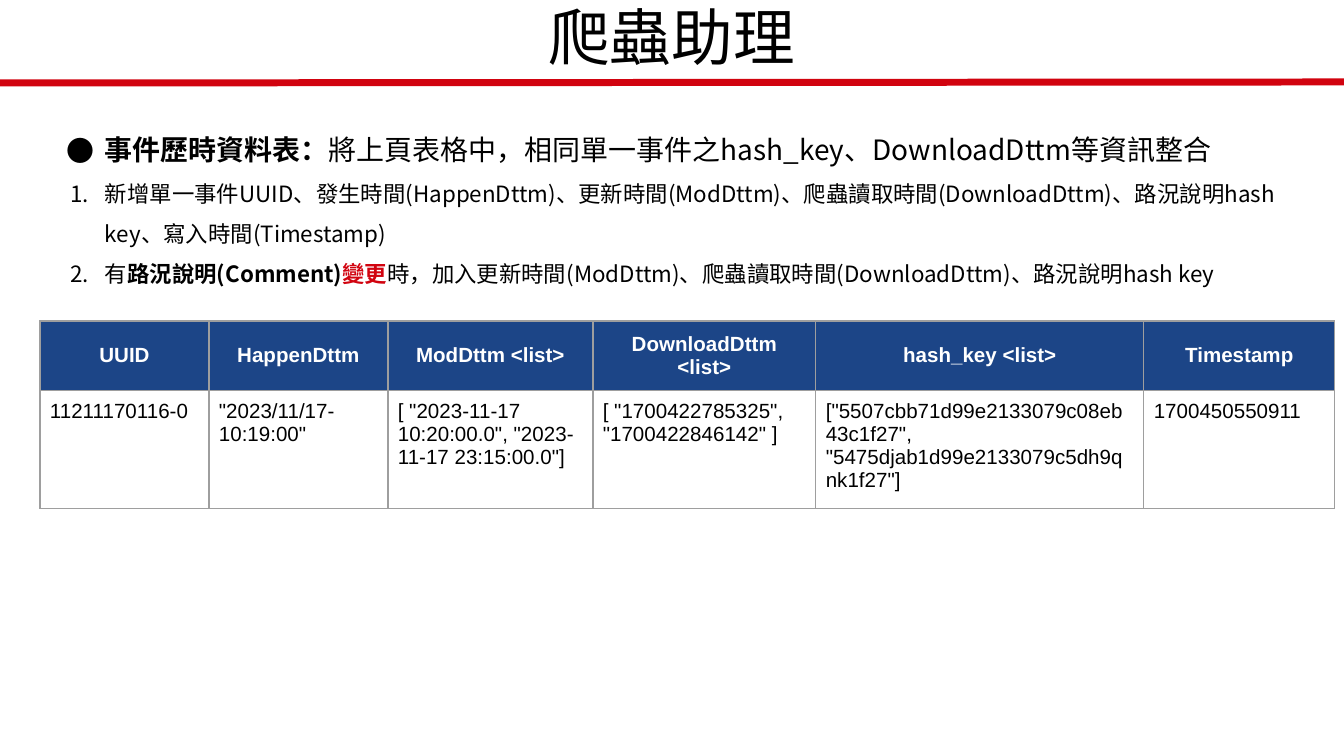
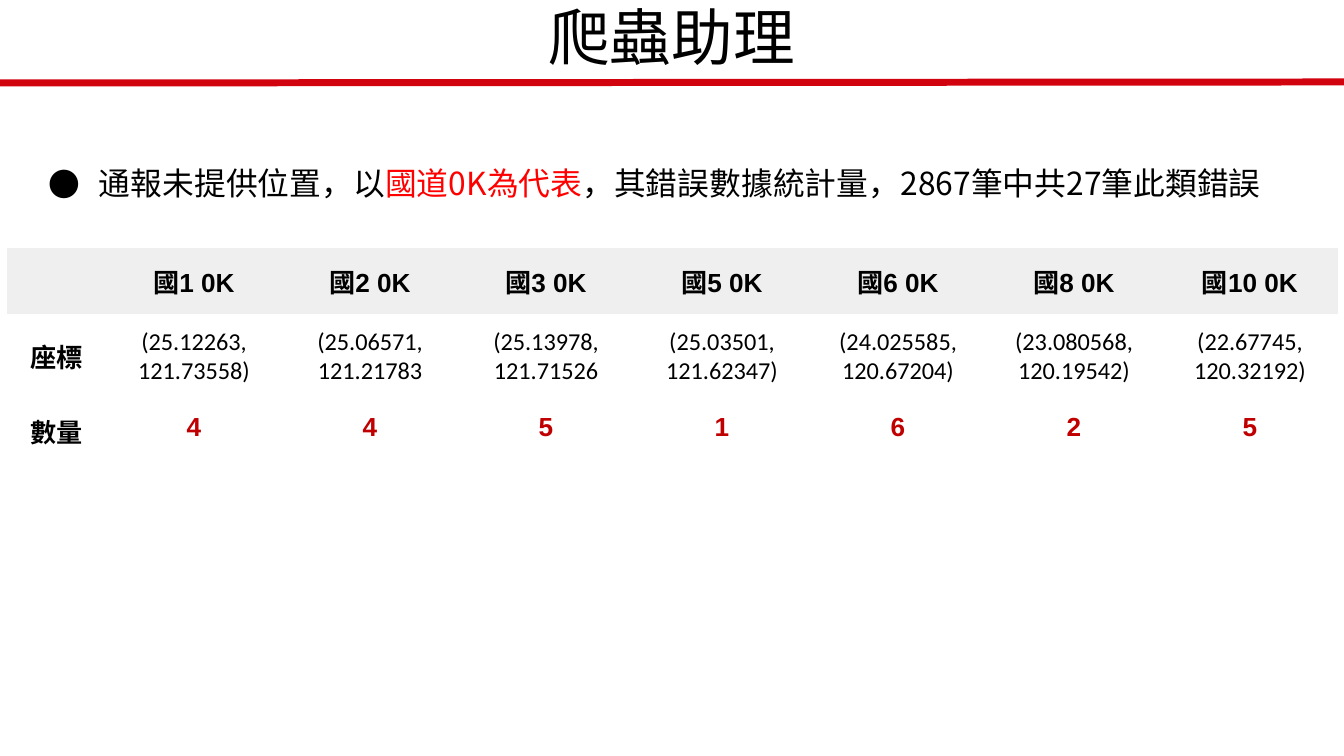
"""Build two slides on a crawler helper, each with notes and a table."""
import dataclasses

import lxml.etree
import pptx
import pptx.dml.color
import pptx.enum.shapes
import pptx.enum.text
import pptx.oxml.ns
import pptx.util

PX = 914400 / 134.4
qn = pptx.oxml.ns.qn
ALIGN = pptx.enum.text.PP_ALIGN
GROW = pptx.enum.text.MSO_AUTO_SIZE.SHAPE_TO_FIT_TEXT
NO_STYLE = "{2D5ABB26-0587-4C30-8999-92F81FD0307C}"


@dataclasses.dataclass(frozen=True)
class Theme:
    """Hold the fonts, colours and type sizes."""
    han: str = "Noto Sans CJK TC"
    sans: str = "Arial"
    plain: str = "Calibri"
    black: str = "000000"
    white: str = "FFFFFF"
    red: str = "D1030F"
    bright: str = "FF0000"
    deep: str = "C00000"
    navy: str = "1C4587"
    pale: str = "EFEFEF"
    grey: str = "9E9E9E"
    title: int = 33
    lead: int = 17
    point: int = 15
    step: int = 12
    cell: int = 11
    head: int = 14
    place: int = 13
    rule: float = 3.75
    edge: float = 0.75


THEME = Theme()


def px(count):
    """Turn px into EMU."""
    return pptx.util.Emu(round(count * PX))


def rgb(code):
    """Turn a hex code into a colour."""
    return pptx.dml.color.RGBColor.from_string(code)


def add_node(parent, tag, **attrs):
    """Append an XML child with attributes."""
    return lxml.etree.SubElement(parent, qn(tag), attrs)


def style_run(run, size, face=THEME.han, ink=THEME.black, bold=False):
    """Set the font of one run."""
    run.font.size = pptx.util.Pt(size)
    run.font.name = face
    run.font.bold = bold
    run.font.color.rgb = rgb(ink)
    add_node(run.font._element, "a:ea", typeface=THEME.han)


def add_box(slide, place, inset=0, grow=False):
    """Add a wrapping text box and return its frame."""
    frame = slide.shapes.add_textbox(*map(px, place)).text_frame
    frame.word_wrap = True
    frame.margin_left = frame.margin_right = px(inset)
    frame.margin_top = frame.margin_bottom = px(inset)
    if grow:
        frame.auto_size = GROW
    return frame


def add_title(slide, text):
    """Add the title and the red rule below it."""
    kind = pptx.enum.shapes.MSO_CONNECTOR.STRAIGHT
    rule = slide.shapes.add_connector(kind, 0, px(83), px(1344), px(82))
    rule.line.color.rgb = rgb(THEME.red)
    rule.line.width = pptx.util.Pt(THEME.rule)
    add_node(rule._element.spPr, "a:effectLst")
    frame = add_box(slide, (224, 7, 895, 67), grow=True)
    frame.text = text
    para = frame.paragraphs[0]
    para.alignment = ALIGN.CENTER
    para.line_spacing = 0.9
    style_run(para.runs[0], THEME.title)


def fill_item(para, parts, size, left, hang, count=False, space=None):
    """Fill a list item from (text, colour, bold) parts."""
    para.line_spacing = space
    for text, ink, bold in parts:
        run = para.add_run()
        run.text = text
        style_run(run, size, ink=ink, bold=bold)
    props = para._element.get_or_add_pPr()
    props.set("marL", str(px(left)))
    props.set("indent", str(-px(hang)))
    add_node(add_node(props, "a:buClr"), "a:srgbClr", val=THEME.black)
    add_node(props, "a:buFont", typeface=THEME.han)
    if count:
        add_node(props, "a:buAutoNum", type="arabicPeriod")
    else:
        add_node(props, "a:buChar", char="●")


def add_grid(slide, left, top, cols, rows):
    """Add a bare table without any style."""
    shape = slide.shapes.add_table(len(rows), len(cols), px(left), px(top),
                                   px(sum(cols)), px(sum(rows)))
    grid = shape.table
    grid.first_row = grid.horz_banding = False
    next(shape._element.iter(qn("a:tableStyleId"))).text = NO_STYLE
    for col, width in zip(grid.columns, cols):
        col.width = px(width)
    for row, height in zip(grid.rows, rows):
        row.height = px(height)
    return grid


def fill_cell(cell, text, size, inset, face=THEME.sans, ink=THEME.black,
              bold=False, back=None, mid=True):
    """Set the text, font, fill and margins of a cell."""
    cell.margin_left = cell.margin_right = px(inset)
    cell.margin_top = cell.margin_bottom = px(inset)
    if back:
        cell.fill.solid()
        cell.fill.fore_color.rgb = rgb(back)
    else:
        cell.fill.background()
    if mid:
        cell.vertical_anchor = pptx.enum.text.MSO_ANCHOR.MIDDLE
    cell.text_frame.text = text
    for para in cell.text_frame.paragraphs:
        para.alignment = ALIGN.CENTER if mid else ALIGN.LEFT
        for run in para.runs:
            style_run(run, size, face, ink, bold)


def edge_cell(cell):
    """Draw a thin grey line on each side of a cell."""
    props = cell._tc.get_or_add_tcPr()
    width = str(pptx.util.Pt(THEME.edge))
    for spot, side in enumerate("LRTB"):
        line = add_node(props, "a:ln" + side, w=width)
        add_node(add_node(line, "a:solidFill"), "a:srgbClr", val=THEME.grey)
        props.insert(spot, line)


def add_events(slide):
    """Add the list and table of event times."""
    heads = ["UUID", "HappenDttm", "ModDttm <list>", "DownloadDttm <list>",
             "hash_key <list>", "Timestamp"]
    facts = ['11211170116-0', '"2023/11/17-\n10:19:00"',
             '[ "2023-11-17 10:20:00.0", "2023-11-17 23:15:00.0"]',
             '[ "1700422785325", "1700422846142" ]',
             '["5507cbb71d99e2133079c08eb43c1f27", '
             '"5475djab1d99e2133079c5dh9qnk1f27"]', '1700450550911']
    grid = add_grid(slide, 40, 321, [169, 179, 205, 223, 328, 191], [42, 42])
    for col, (head, fact) in enumerate(zip(heads, facts)):
        fill_cell(grid.cell(0, col), head, THEME.cell, 10, ink=THEME.white,
                  bold=True, back=THEME.navy)
        fill_cell(grid.cell(1, col), fact, THEME.cell, 10, mid=False)
        edge_cell(grid.cell(0, col))
        edge_cell(grid.cell(1, col))
    black = THEME.black
    frame = add_box(slide, (44, 106, 1259, 258), inset=10)
    fill_item(frame.paragraphs[0], [
        ("事件歷時資料表：", black, True),
        ("將上頁表格中，相同單一事件之hash_key、DownloadDttm等資訊整合", black, False),
    ], THEME.point, 51, 38, space=1.5)
    steps = [
        [("新增單一事件UUID、發生時間(HappenDttm)、更新時間(ModDttm)、"
          "爬蟲讀取時間(DownloadDttm)、路況說明hash key、寫入時間(Timestamp)",
          black, False)],
        [("有", black, False), ("路況說明(Comment)", black, True),
         ("變更", THEME.red, True),
         ("時，加入更新時間(ModDttm)、爬蟲讀取時間(DownloadDttm)、"
          "路況說明hash key", black, False)],
    ]
    for parts in steps:
        fill_item(frame.add_paragraph(), parts, THEME.step, 51, 35,
                  count=True, space=1.5)


def add_faults(slide):
    """Add the note and table of reports without a place."""
    roads = [
        ("國1 0K", "(25.12263, 121.73558)", "4"),
        ("國2 0K", "(25.06571, 121.21783", "4"),
        ("國3 0K", "(25.13978, 121.71526", "5"),
        ("國5 0K", "(25.03501, 121.62347)", "1"),
        ("國6 0K", "(24.025585, 120.67204)", "6"),
        ("國8 0K", "(23.080568, 120.19542)", "2"),
        ("國10 0K", "(22.67745, 120.32192)", "5"),
    ]
    grid = add_grid(slide, 7, 248, [99] + [176] * len(roads), [52, 56, 56])
    for col, (road, place, total) in enumerate([("", "座標", "數量")] + roads):
        fill_cell(grid.cell(0, col), road, THEME.head, 13, bold=True,
                  back=THEME.pale)
        if col:
            fill_cell(grid.cell(1, col), place, THEME.place, 13, THEME.plain)
        else:
            fill_cell(grid.cell(1, col), place, THEME.head, 13, bold=True)
        fill_cell(grid.cell(2, col), total, THEME.head, 13, bold=True,
                  ink=THEME.deep if col else THEME.black)
    frame = add_box(slide, (19, 151, 1266, 66), inset=13, grow=True)
    fill_item(frame.paragraphs[0], [
        ("通報未提供位置，以", THEME.black, False),
        ("國道0K為代表", THEME.bright, False),
        ("，其錯誤數據統計量，2867筆中共27筆此類錯誤", THEME.black, False),
    ], THEME.lead, 67, 50)


def main():
    """Build and save the deck."""
    deck = pptx.Presentation()
    deck.slide_width, deck.slide_height = px(1344), px(756)
    for build in (add_events, add_faults):
        slide = deck.slides.add_slide(deck.slide_layouts[6])
        add_title(slide, "爬蟲助理")
        build(slide)
    deck.save("out.pptx")


if __name__ == "__main__":
    main()
